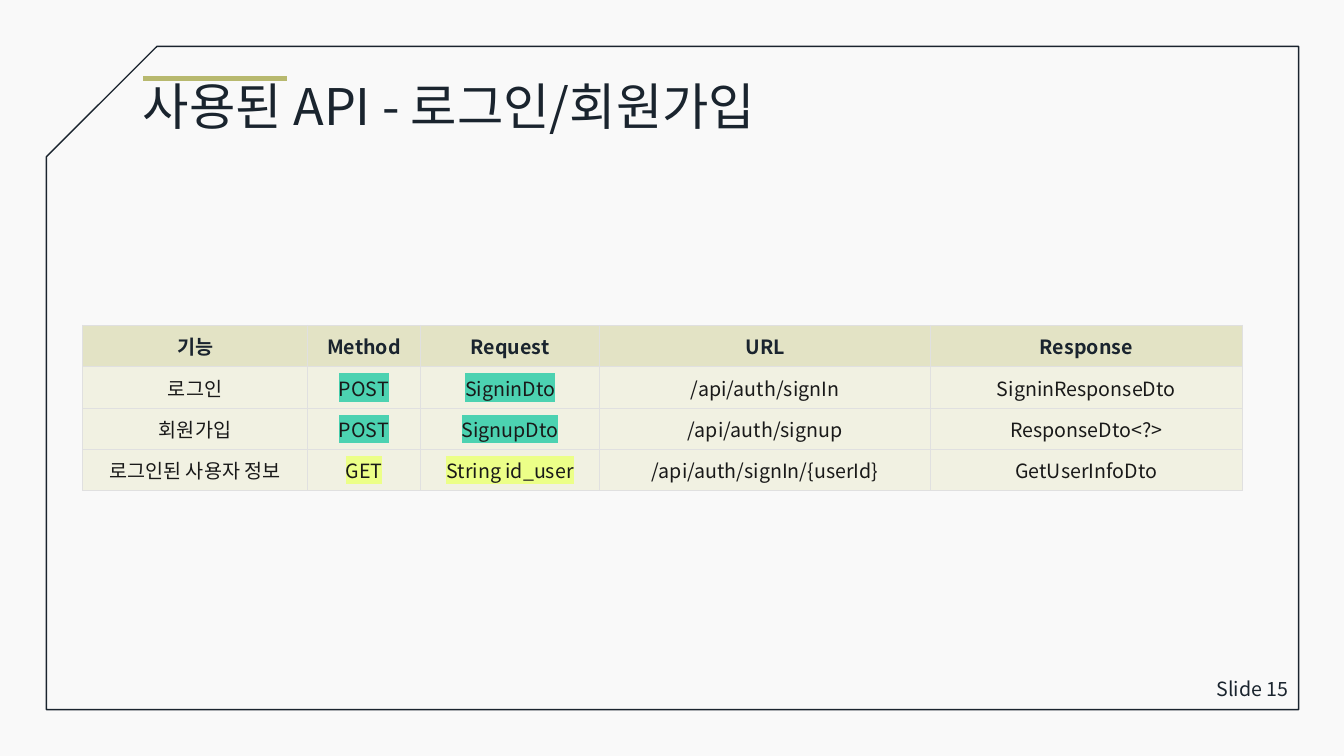
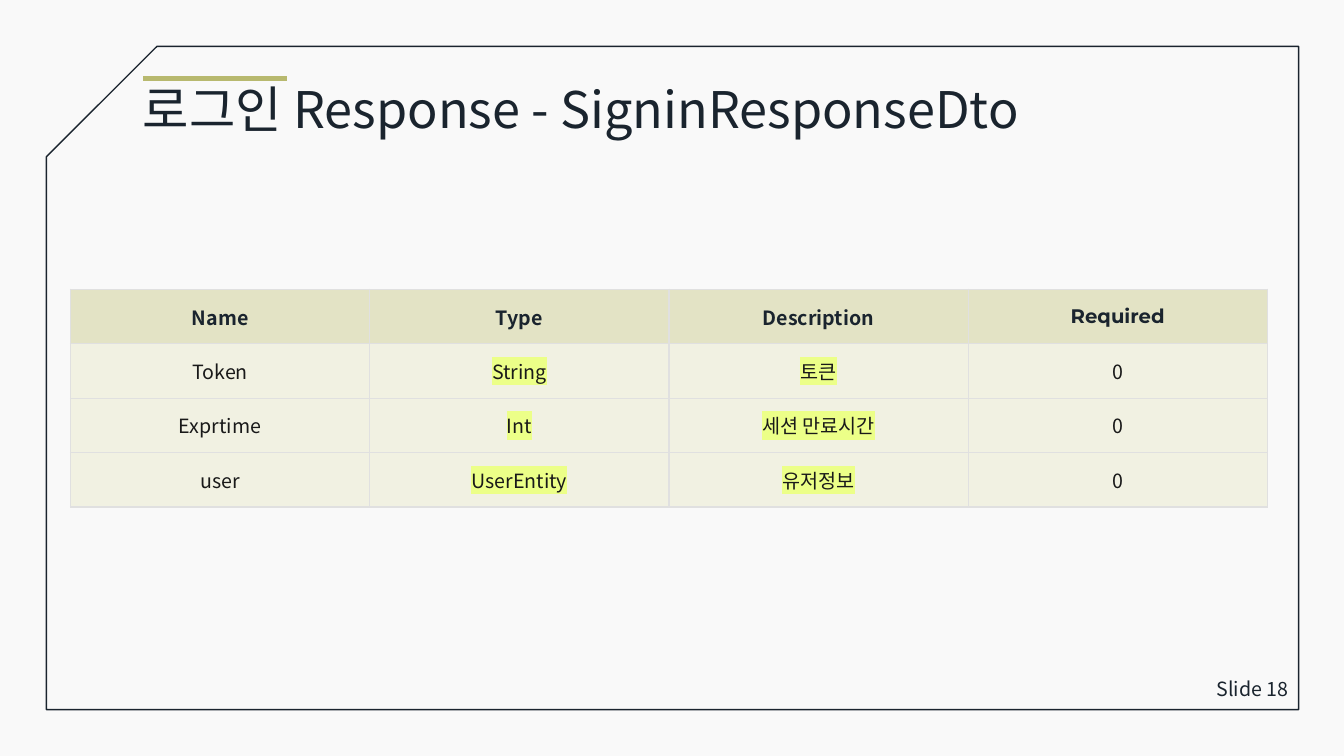
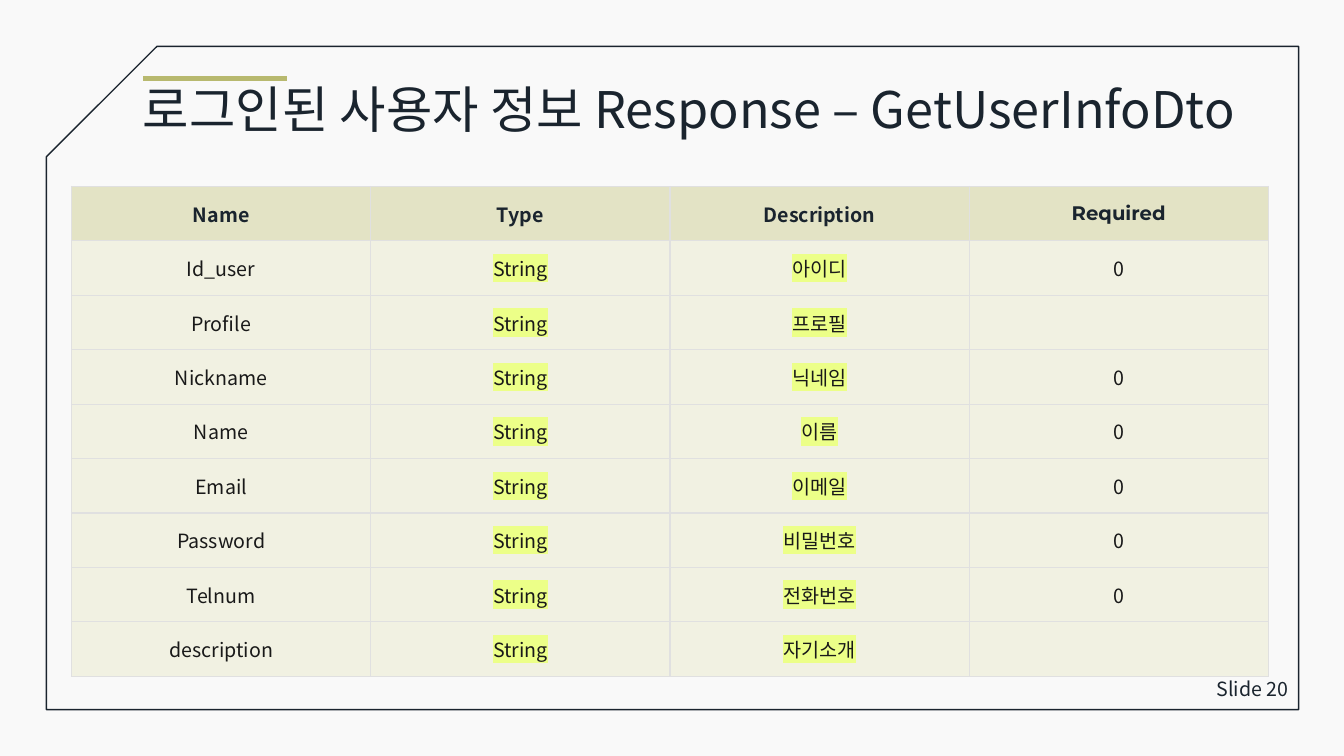
from dataclasses import dataclass

from lxml.etree import SubElement
from pptx import Presentation
from pptx.dml.color import RGBColor
from pptx.enum.shapes import MSO_CONNECTOR as Connector, MSO_SHAPE as Shape
from pptx.enum.text import MSO_ANCHOR as Anchor, PP_ALIGN as Align
from pptx.oxml import parse_xml
from pptx.oxml.ns import nsdecls, qn
from pptx.util import Inches, Pt


@dataclass(frozen=True)
class Theme:
    background: str = "F9F9F9"
    ink: str = "1A242E"
    body_ink: str = "191919"
    accent: str = "B8B96F"
    header_fill: str = "E3E3C5"
    body_fill: str = "F1F1E2"
    border: str = "E0E0E0"
    post_mark: str = "4CD2B1"
    mark: str = "ECFF88"
    font: str = "Noto Sans CJK KR"
    alternate_font: str = "Montserrat"
    title_size: int = 36
    text_size: int = 14


THEME = Theme()
MARKED_COLUMNS = (1, 2)

API_ROWS = [
    ("기능", "Method", "Request", "URL", "Response"),
    ("로그인", "POST", "SigninDto", "/api/auth/signIn", "SigninResponseDto"),
    ("회원가입", "POST", "SignupDto", "/api/auth/signup", "ResponseDto<?>"),
    ("로그인된 사용자 정보", "GET", "String id_user",
     "/api/auth/signIn/{userId}", "GetUserInfoDto"),
]
FIELD_HEADER = ("Name", "Type", "Description", "Required")
SIGNIN_ROWS = [
    FIELD_HEADER,
    ("Token", "String", "토큰", "0"),
    ("Exprtime", "Int", "세션 만료시간", "0"),
    ("user", "UserEntity", "유저정보", "0"),
]
USER_ROWS = [
    FIELD_HEADER,
    ("Id_user", "String", "아이디", "0"),
    ("Profile", "String", "프로필", ""),
    ("Nickname", "String", "닉네임", "0"),
    ("Name", "String", "이름", "0"),
    ("Email", "String", "이메일", "0"),
    ("Password", "String", "비밀번호", "0"),
    ("Telnum", "String", "전화번호", "0"),
    ("description", "String", "자기소개", ""),
]
FIELD_WIDTHS = [11.87 / 4] * 4


def rgb(code):
    return RGBColor.from_string(code)


def add_run(para, text, size, color=THEME.ink, name=THEME.font, bold=False, mark=None):
    """Add one run; mark is an optional highlight colour."""
    span = para.add_run()
    span.text = text
    font = span.font
    font.size, font.bold, font.name = Pt(size), bold, name
    font.color.rgb = rgb(color)
    properties = span._r.get_or_add_rPr()
    SubElement(properties, qn("a:ea"), typeface=name)
    if mark:
        properties.find(qn("a:solidFill")).addnext(parse_xml(
            f'<a:highlight {nsdecls("a")}><a:srgbClr val="{mark}"/></a:highlight>'))


def add_text(page, area, text, size, align=Align.LEFT, anchor=Anchor.TOP, spacing=1.0):
    box = page.shapes.add_textbox(*map(Inches, area))
    frame = box.text_frame
    frame.word_wrap = True
    frame.vertical_anchor = anchor
    frame.margin_top = frame.margin_bottom = 0
    para = frame.paragraphs[0]
    para.alignment, para.line_spacing = align, spacing
    add_run(para, text, size)


def add_frame(page):
    """Draw the outline with its cut top-left corner."""
    outline = page.shapes.add_shape(
        Shape.SNIP_1_RECTANGLE, *map(Inches, (0.46, 0.46, 12.42, 6.58)))
    outline.shadow.inherit = False
    outline.fill.background()
    outline.line.color.rgb = rgb(THEME.ink)
    outline.line.width = Pt(1)
    outline._element.spPr.find(qn("a:xfrm")).set("flipH", "1")


def add_accent(page):
    bar = page.shapes.add_connector(
        Connector.STRAIGHT, *map(Inches, (1.42, 0.78, 2.85, 0.78)))
    bar.line.color.rgb = rgb(THEME.accent)
    bar.line.width = Pt(4)
    SubElement(bar._element.spPr, qn("a:effectLst"))


def add_page(deck, number, title, title_top=0.84, title_height=0.7):
    page = deck.slides.add_slide(deck.slide_layouts[6])
    add_frame(page)
    add_accent(page)
    add_text(page, (11.57, 6.63, 1.31, 0.41), f"Slide {number}", THEME.text_size,
             Align.RIGHT, Anchor.MIDDLE)
    add_text(page, (1.32, title_top, 11.56, title_height), title, THEME.title_size,
             spacing=0.9)
    return page


def style_cell(cell, fill):
    cell.vertical_anchor = Anchor.MIDDLE
    cell.fill.solid()
    cell.fill.fore_color.rgb = rgb(fill)
    properties = cell._tc.get_or_add_tcPr()
    for index, side in enumerate("LRTB"):
        properties.insert(index, parse_xml(
            f'<a:ln{side} {nsdecls("a")} w="{Pt(1)}"><a:solidFill>'
            f'<a:srgbClr val="{THEME.border}"/></a:solidFill></a:ln{side}>'))


def write_header(para, text):
    name = THEME.alternate_font if text == "Required" else THEME.font
    add_run(para, text, THEME.text_size, name=name, bold=True)


def write_body(para, text, column, row):
    mark = None
    if column in MARKED_COLUMNS:
        mark = THEME.post_mark if "POST" in row else THEME.mark
    add_run(para, text, THEME.text_size, THEME.body_ink, mark=mark)


def add_grid(page, left, top, widths, row_height, rows):
    area = (left, top, sum(widths), row_height * len(rows))
    table = page.shapes.add_table(len(rows), len(widths), *map(Inches, area)).table
    table.horz_banding = False
    for column, width in zip(table.columns, widths):
        column.width = Inches(width)
    for row_index, row in enumerate(rows):
        table.rows[row_index].height = Inches(row_height)
        for column_index, text in enumerate(row):
            cell = table.cell(row_index, column_index)
            style_cell(cell, THEME.body_fill if row_index else THEME.header_fill)
            para = cell.text_frame.paragraphs[0]
            para.alignment = Align.CENTER
            if not text:
                continue
            if row_index == 0:
                write_header(para, text)
            else:
                write_body(para, text, column_index, row)


def main():
    deck = Presentation()
    deck.slide_width, deck.slide_height = Inches(13.33), Inches(7.5)
    background = deck.slide_master.background.fill
    background.solid()
    background.fore_color.rgb = rgb(THEME.background)

    page = add_page(deck, 15, "사용된 API - 로그인/회원가입", 0.81, 1.32)
    add_grid(page, 0.82, 3.23, [2.23, 1.12, 1.78, 3.28, 3.09], 0.41, API_ROWS)

    page = add_page(deck, 18, "로그인 Response - SigninResponseDto")
    add_grid(page, 0.7, 2.87, FIELD_WIDTHS, 0.54, SIGNIN_ROWS)

    page = add_page(deck, 20, "로그인된 사용자 정보 Response – GetUserInfoDto")
    add_grid(page, 0.71, 1.85, FIELD_WIDTHS, 0.54, USER_ROWS)

    deck.save("out.pptx")


if __name__ == "__main__":
    main()
